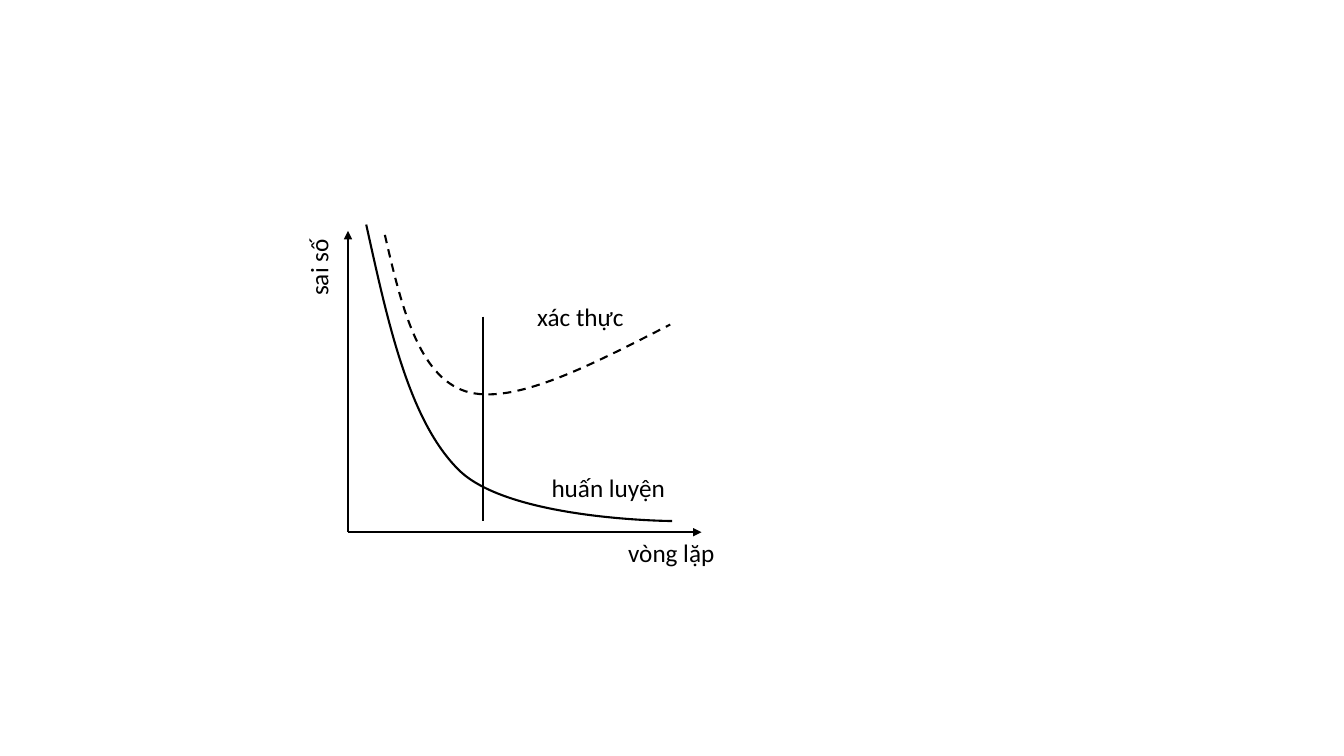
from dataclasses import dataclass

from lxml import etree
from pptx import Presentation
from pptx.dml.color import RGBColor
from pptx.enum.dml import MSO_LINE
from pptx.enum.shapes import MSO_CONNECTOR
from pptx.enum.text import MSO_AUTO_SIZE
from pptx.oxml.ns import qn
from pptx.util import Cm, Pt

BLACK = RGBColor(0, 0, 0)
STRAIGHT = MSO_CONNECTOR.STRAIGHT
DASH = MSO_LINE.DASH
FIT_SHAPE = MSO_AUTO_SIZE.SHAPE_TO_FIT_TEXT
FONT = "Calibri"
LABEL_HEIGHT = 1.02

Point = tuple[float, float]


@dataclass(frozen=True)
class StraightLine:
    start: Point
    end: Point
    width: float = 1.5
    arrow: bool = False


@dataclass(frozen=True)
class Curve:
    start: Point
    beziers: tuple[tuple[Point, Point, Point], ...]
    dashed: bool = False


@dataclass(frozen=True)
class Label:
    text: str
    left: float
    top: float
    width: float = 4.62
    rotation: float = 0


ORIGIN = (8.77, 13.41)
AXES = (
    StraightLine(ORIGIN, (8.77, 5.82), arrow=True),
    StraightLine(ORIGIN, (17.68, 13.41), arrow=True),
)
STOPPING_LINE = StraightLine((12.17, 7.98), (12.17, 13.13), width=1)
CURVES = (
    Curve((9.23, 5.66), (
        ((9.78, 8.15), (10.31, 10.62), (11.58, 11.86)),
        ((12.88, 13.11), (16.94, 13.13), (16.94, 13.13)),
    )),
    Curve((9.7, 5.92), (
        ((10.11, 7.7), (10.54, 9.47), (11.73, 9.86)),
        ((12.93, 10.24), (14.91, 9.19), (16.89, 8.18)),
    ), dashed=True),
)
LABELS = (
    Label("vòng lặp", 15.58, 13.41),
    Label("sai số", 6.82, 5.99, width=2.41, rotation=270),
    Label("huấn luyện", 13.65, 11.78),
    Label("xác thực", 13.29, 7.47),
)


def to_lengths(point: Point) -> tuple[Cm, Cm]:
    return Cm(point[0]), Cm(point[1])


def draw_line(shapes, line: StraightLine) -> None:
    connector = shapes.add_connector(
        STRAIGHT, *to_lengths(line.start), *to_lengths(line.end)
    )
    connector.line.color.rgb = BLACK
    connector.line.width = Pt(line.width)
    properties = connector._element.spPr
    if line.arrow:
        outline = properties.find(qn("a:ln"))
        etree.SubElement(outline, qn("a:tailEnd"), type="triangle")
    etree.SubElement(properties, qn("a:effectLst"))


def bend_segments(shape, curve: Curve) -> None:
    segments = list(shape._element.iter(qn("a:lnTo")))
    for segment, bezier in zip(segments, curve.beziers):
        segment_path = segment.getparent()
        cubic = etree.Element(qn("a:cubicBezTo"))
        for x, y in map(to_lengths, bezier):
            etree.SubElement(
                cubic, qn("a:pt"), x=str(x - shape.left), y=str(y - shape.top)
            )
        segment_path.replace(segment, cubic)


def draw_curve(shapes, curve: Curve) -> None:
    ends = [to_lengths(bezier[-1]) for bezier in curve.beziers]
    builder = shapes.build_freeform(*to_lengths(curve.start))
    builder.add_line_segments(ends, close=False)
    shape = builder.convert_to_shape()
    bend_segments(shape, curve)
    shape.shadow.inherit = False
    shape.fill.background()
    shape.line.color.rgb = BLACK
    shape.line.width = Pt(1.5)
    if curve.dashed:
        shape.line.dash_style = DASH


def draw_label(shapes, label: Label) -> None:
    box = shapes.add_textbox(
        Cm(label.left), Cm(label.top), Cm(label.width), Cm(LABEL_HEIGHT)
    )
    box.rotation = label.rotation
    frame = box.text_frame
    frame.word_wrap = True
    frame.auto_size = FIT_SHAPE
    run = frame.paragraphs[0].add_run()
    run.text = label.text
    run.font.name = FONT
    run.font.size = Pt(18)
    run.font.color.rgb = BLACK


presentation = Presentation()
presentation.slide_width = Cm(33.87)
presentation.slide_height = Cm(19.05)
slide = presentation.slides.add_slide(presentation.slide_layouts[6])
for axis in AXES:
    draw_line(slide.shapes, axis)
for error_curve in CURVES:
    draw_curve(slide.shapes, error_curve)
for chart_label in LABELS:
    draw_label(slide.shapes, chart_label)
draw_line(slide.shapes, STOPPING_LINE)
presentation.save("out.pptx")
